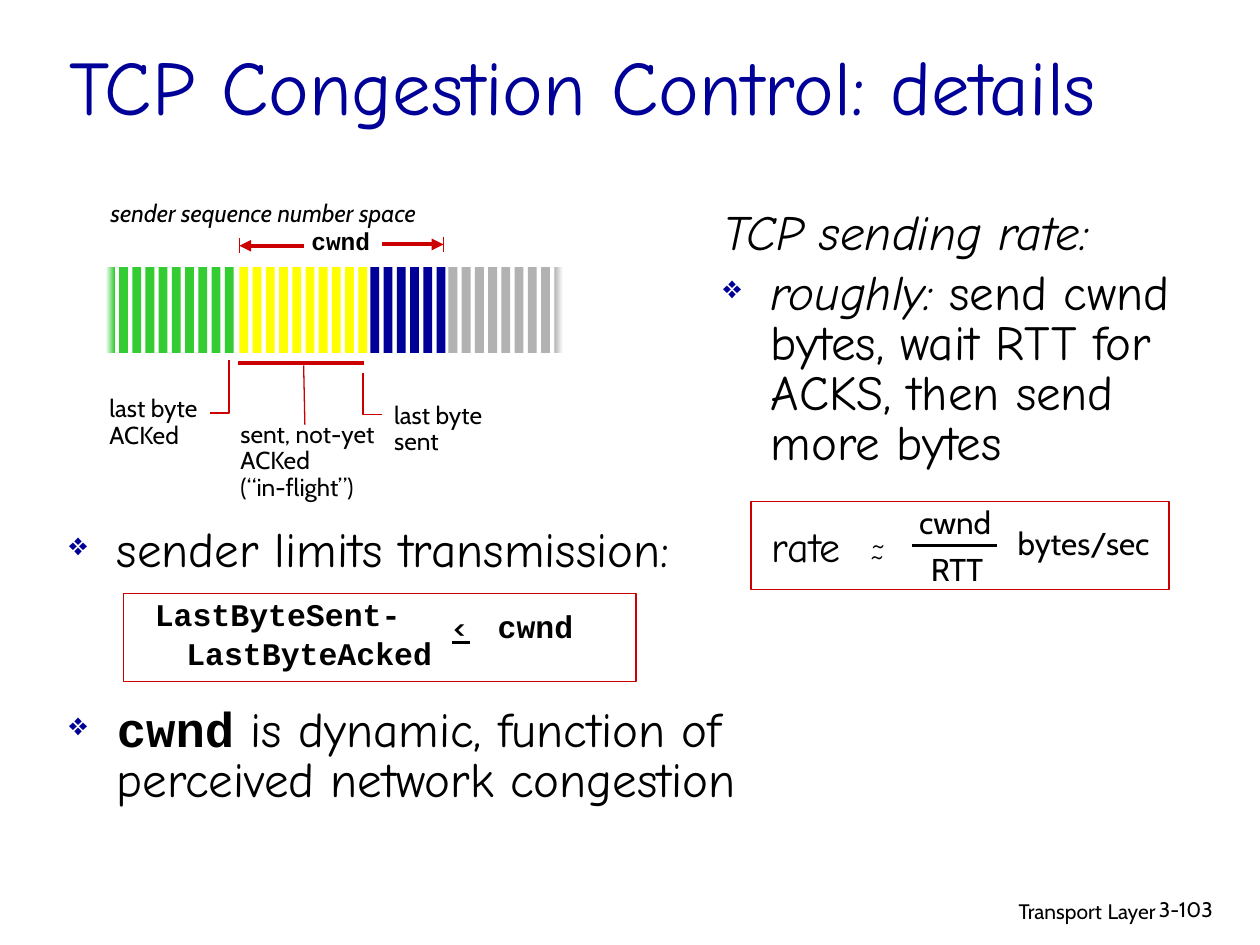
from dataclasses import dataclass

from lxml.etree import SubElement
from pptx import Presentation
from pptx.dml.color import RGBColor
from pptx.enum.shapes import MSO_CONNECTOR, MSO_SHAPE
from pptx.enum.text import MSO_ANCHOR, PP_ALIGN
from pptx.oxml.ns import qn
from pptx.util import Inches, Pt


@dataclass(frozen=True)
class Theme:
    """Colours, fonts and type sizes of the slide."""
    black: str = "000000"
    white: str = "FFFFFF"
    navy: str = "000099"
    red: str = "CC0000"
    green: str = "33CC33"
    yellow: str = "FFFF00"
    gray: str = "B2B2B2"
    label_font: str = "Cabin"
    body_font: str = "Comic Neue"
    code_font: str = "Courier New"
    title: int = 44
    body: int = 28
    rate: int = 24
    formula: int = 18
    sign: int = 16
    label: int = 14
    footer: int = 12


THEME = Theme()


def color(code):
    """Turn a hex code into a colour."""
    return RGBColor.from_string(code)


def set_bullet(para):
    """Give a paragraph a navy diamond bullet."""
    properties = para._p.get_or_add_pPr()
    tint = SubElement(properties, qn("a:buClr"))
    SubElement(tint, qn("a:srgbClr"), val=THEME.navy)
    SubElement(properties, qn("a:buSzPct"), val="65000")
    SubElement(properties, qn("a:buChar"), char="❖")


def add_run(para, text, size, font, ink, bold=False, italic=False):
    """Append one formatted run to a paragraph."""
    span = para.add_run()
    span.text = text
    span.font.size = Pt(size)
    span.font.name = font
    span.font.bold = bold
    span.font.italic = italic
    span.font.color.rgb = color(ink)


def add_text(page, area, paragraphs, size=THEME.label, font=THEME.label_font, ink=THEME.black,
             bold=False, italic=False, align=PP_ALIGN.LEFT, anchor=MSO_ANCHOR.TOP, wrap=True,
             spacing=1.0, before=(), margins=(), bullets=()):
    """Add a text box whose paragraphs are strings or lists of (text, format) runs."""
    frame = page.shapes.add_textbox(*map(Inches, area)).text_frame
    frame.word_wrap = wrap
    frame.vertical_anchor = anchor
    base = dict(size=size, font=font, ink=ink, bold=bold, italic=italic)
    for index, content in enumerate(paragraphs):
        para = frame.add_paragraph() if index else frame.paragraphs[0]
        para.alignment = align
        para.line_spacing = spacing
        if before:
            para.space_before = Pt(before[index])
        if margins:
            left, indent = margins[index]
            properties = para._p.get_or_add_pPr()
            properties.set("marL", str(Inches(left)))
            properties.set("indent", str(Inches(indent)))
        if index in bullets:
            set_bullet(para)
        runs = [(content, {})] if isinstance(content, str) else content
        for text, changes in runs:
            add_run(para, text, **{**base, **changes})


def add_line(page, start, end, ink=THEME.red, width=0.75, arrow=False):
    """Add a straight line, with an arrowhead at its end if asked."""
    line = page.shapes.add_connector(MSO_CONNECTOR.STRAIGHT, *map(Inches, start + end))
    line.line.color.rgb = color(ink)
    line.line.width = Pt(width)
    if arrow:
        SubElement(line.line._get_or_add_ln(), qn("a:tailEnd"), type="triangle")
    SubElement(line._element.spPr, qn("a:effectLst"))


def add_elbow(page, points):
    """Add an open red callout outline through the points."""
    corners = [tuple(map(Inches, point)) for point in points]
    builder = page.shapes.build_freeform(*corners[0])
    builder.add_line_segments(corners[1:], close=False)
    elbow = builder.convert_to_shape()
    elbow.shadow.inherit = False
    elbow.fill.background()
    elbow.line.color.rgb = color(THEME.red)
    elbow.line.width = Pt(1)


def add_frame(page, area):
    """Add an unfilled rectangle with a red outline."""
    frame = page.shapes.add_shape(MSO_SHAPE.RECTANGLE, *map(Inches, area))
    frame.shadow.inherit = False
    frame.fill.background()
    frame.line.color.rgb = color(THEME.red)
    frame.line.width = Pt(1)


def add_bar(page, left, colors):
    """Add one sequence-number bar, solid for one colour or graded for two."""
    bar = page.shapes.add_shape(MSO_SHAPE.RECTANGLE, Inches(left), Inches(2.12), Inches(0.07), Inches(0.68))
    bar.shadow.inherit = False
    bar.line.fill.background()
    if len(colors) == 1:
        bar.fill.solid()
        bar.fill.fore_color.rgb = color(colors[0])
        return
    bar.fill.gradient()
    bar.fill.gradient_angle = 0
    for position, (stop, code) in enumerate(zip(bar.fill.gradient_stops, colors)):
        stop.position = position
        stop.color.rgb = color(code)


def add_sequence_space(page):
    """Draw the bars, the window span and their labels."""
    pitch = 0.105
    add_bar(page, 0.84, (THEME.white, THEME.green))
    for first, count, code in ((0.84 + pitch, 9, THEME.green), (1.9, 10, THEME.yellow),
                               (2.94, 6, THEME.navy), (3.56, 8, THEME.gray)):
        for index in range(count):
            add_bar(page, first + index * pitch, (code,))
    add_bar(page, 3.56 + 8 * pitch, (THEME.gray, THEME.white))

    add_text(page, (0.78, 1.52, 2.98, 0.33), ["sender sequence number space"], italic=True, wrap=False)
    add_text(page, (2.37, 1.77, 0.67, 0.31), ["cwnd"], font=THEME.code_font, bold=True,
             align=PP_ALIGN.CENTER, wrap=False, spacing=0.9)
    for start, end, level in ((3.03, 3.52, 1.94), (2.41, 1.9, 1.95)):
        add_line(page, (start, level), (end, level), width=2.25, arrow=True)
        add_line(page, (end, level - 0.06), (end, level + 0.06))

    add_line(page, (1.89, 2.88), (2.89, 2.88), width=2.25)
    add_line(page, (2.41, 2.9), (2.42, 3.37))
    add_elbow(page, ((1.82, 2.86), (1.82, 3.28), (1.67, 3.28)))
    add_elbow(page, ((2.88, 2.96), (2.88, 3.29), (3.03, 3.29)))
    add_text(page, (0.77, 3.1, 0.93, 0.52), ["last byte", "ACKed"], wrap=False, spacing=0.9)
    add_text(page, (1.81, 3.3, 1.32, 0.73), ["sent, not-yet ACKed", "(“in-flight”)"], spacing=0.9)
    add_text(page, (3.03, 3.15, 1.17, 0.52), ["last byte sent"], spacing=0.9)


def add_body(page):
    """Write the bulleted text on both sides."""
    style = dict(size=THEME.body, font=THEME.body_font, spacing=0.85, margins=[(0.38, -0.38)] * 2)
    code = dict(font=THEME.code_font, bold=True)
    add_text(page, (0.45, 4.14, 5.5, 1.85),
             ["sender limits transmission:",
              [("cwnd", code), (" is dynamic, function of perceived network congestion", {})]],
             before=(5.6, 74), bullets=(0, 1), **style)
    add_text(page, (5.64, 1.62, 4.17, 2.68),
             [[("TCP sending rate:", dict(italic=True))],
              [("roughly:", dict(italic=True)),
               (" send cwnd bytes, wait RTT for ACKS, then send more bytes", {})]],
             before=(5.6, 5.6), bullets=(1,), **style)


def add_limit_formula(page):
    """Draw the boxed limit on unacknowledged bytes."""
    code = dict(size=THEME.formula, font=THEME.code_font, bold=True)
    add_text(page, (1.13, 4.72, 3.08, 0.67), ["LastByteSent-", "LastByteAcked"], spacing=0.85,
             before=(3.6, 3.6), margins=((0.25, -0.25), (0.25, 0)), **code)
    add_text(page, (3.46, 4.8, 0.38, 0.37), ["<"], size=THEME.sign, bold=True,
             align=PP_ALIGN.CENTER, wrap=False)
    add_line(page, (3.59, 5.1), (3.73, 5.1), ink=THEME.black, width=1.5)
    add_text(page, (3.85, 4.77, 0.8, 0.4), ["cwnd"], align=PP_ALIGN.CENTER, wrap=False, **code)
    add_frame(page, (0.98, 4.71, 4.07, 0.7))


def add_rate_formula(page):
    """Draw the boxed sending rate."""
    add_text(page, (5.96, 4.08, 0.88, 0.51), ["rate"], size=THEME.rate, font=THEME.body_font,
             align=PP_ALIGN.CENTER, wrap=False)
    for text, left, top, width in (("~", 6.46, 4.1, 1.02), ("~", 6.45, 4.19, 1.02), ("cwnd", 7.19, 3.94, 0.78),
                                   ("RTT", 7.27, 4.32, 0.65), ("bytes/sec", 7.93, 4.11, 1.34)):
        add_text(page, (left, top, width, 0.4), [text], size=THEME.formula,
                 align=PP_ALIGN.CENTER, wrap=False)
    add_line(page, (7.24, 4.33), (7.91, 4.33), ink=THEME.black, width=1.5)
    add_frame(page, (5.96, 3.98, 3.32, 0.7))


def main():
    """Build and save the deck."""
    deck = Presentation()
    deck.slide_width, deck.slide_height = Inches(10), Inches(7.5)
    page = deck.slides.add_slide(deck.slide_layouts[6])
    add_text(page, (0.45, 0.25, 9.25, 0.84), ["TCP Congestion Control: details"], size=THEME.title,
             font=THEME.body_font, ink=THEME.navy, anchor=MSO_ANCHOR.MIDDLE)
    add_body(page)
    add_sequence_space(page)
    add_limit_formula(page)
    add_rate_formula(page)
    add_text(page, (6.1, 7.05, 3.17, 0.31),
             [[("Transport", {}), (" ", dict(size=THEME.label)), ("Layer", {})]],
             size=THEME.footer, align=PP_ALIGN.RIGHT)
    add_text(page, (9.1, 7.07, 0.74, 0.3), ["3-103"], size=THEME.footer)
    deck.save("out.pptx")


if __name__ == "__main__":
    main()
